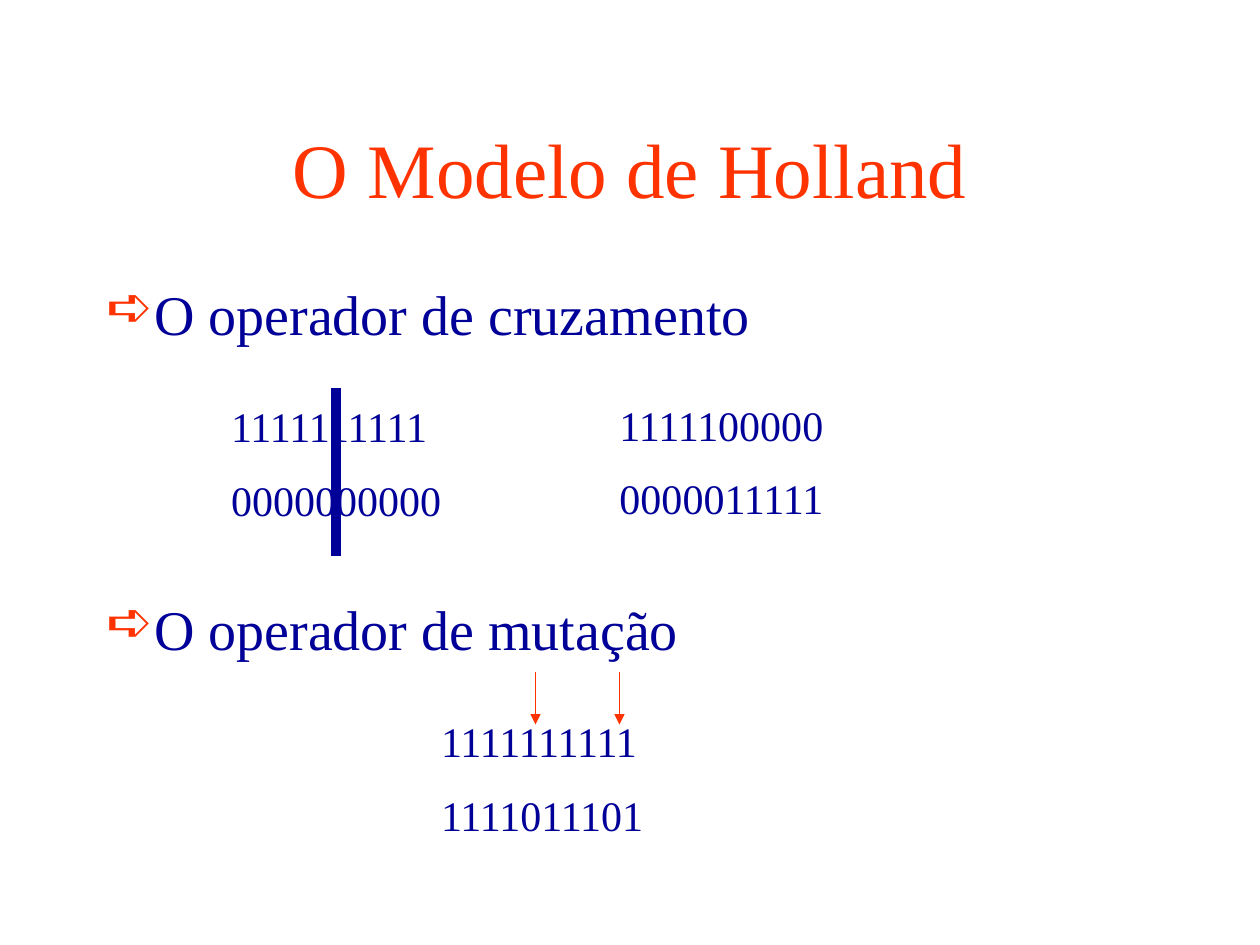
from lxml import etree
from pptx import Presentation
from pptx.dml.color import RGBColor
from pptx.enum import shapes, text
from pptx.oxml.ns import qn
from pptx.util import Pt

COLORS = {"accent": "FF3300", "ink": "000099"}
FONT = "Times New Roman"

TITLE = "O Modelo de Holland"
OPERATORS = ["O operador de cruzamento", "O operador de mutação"]
OPERATOR_GAP = 142
BULLET_INDENT = 27

# left, top, the two strings of the pair
PAIRS = [
    (132, 229, ("1111111111", "0000000000")),
    (354, 228, ("1111100000", "0000011111")),
    (252, 409, ("1111111111", "1111011101")),
]
PAIR_STEP = 42

CUT_LINE = (192, 222, 318)
MUTATION_X = (306, 354)
MUTATION_Y = (384, 414)


def color(name):
    return RGBColor.from_string(COLORS[name])


def add_text(slide, box, lines, size, color_name, anchor, inset=(7.2, 3.6)):
    """Add a text box with one paragraph a line; return its paragraphs."""
    frame = slide.shapes.add_textbox(*map(Pt, box)).text_frame
    frame.word_wrap = True
    frame.vertical_anchor = anchor
    frame.margin_left = frame.margin_right = Pt(inset[0])
    frame.margin_top = frame.margin_bottom = Pt(inset[1])
    frame.text = "\n".join(lines)
    for paragraph in frame.paragraphs:
        paragraph.font.name = FONT
        paragraph.font.size = Pt(size)
        paragraph.font.color.rgb = color(color_name)
    return frame.paragraphs


def add_bullet(paragraph):
    properties = paragraph._p.get_or_add_pPr()
    properties.set("marL", str(Pt(BULLET_INDENT)))
    properties.set("indent", str(-Pt(BULLET_INDENT)))
    bullet_color = etree.Element(qn("a:buClr"))
    etree.SubElement(bullet_color, qn("a:srgbClr"), val=COLORS["accent"])
    bullet = etree.Element(qn("a:buChar"), char="➪")
    default_run = properties.find(qn("a:defRPr"))
    default_run.addprevious(bullet_color)
    default_run.addprevious(bullet)


def add_vertical_line(slide, x, top, bottom, color_name, width, arrow=False):
    line = slide.shapes.add_connector(
        shapes.MSO_CONNECTOR.STRAIGHT, Pt(x), Pt(top), Pt(x), Pt(bottom))
    line.line.color.rgb = color(color_name)
    line.line.width = Pt(width)
    if arrow:
        etree.SubElement(line.line._get_or_add_ln(), qn("a:tailEnd"), type="triangle")
    etree.SubElement(line._element.spPr, qn("a:effectLst"))


def main():
    presentation = Presentation()
    presentation.slide_width, presentation.slide_height = Pt(720), Pt(540)
    slide = presentation.slides.add_slide(presentation.slide_layouts[6])

    add_vertical_line(slide, *CUT_LINE, "ink", 6)

    title, = add_text(slide, (54, 36, 612, 90), [TITLE], 44, "accent",
                      text.MSO_ANCHOR.BOTTOM)
    title.alignment = text.PP_ALIGN.CENTER

    operators = add_text(slide, (54, 156, 612, 324), OPERATORS, 32, "ink",
                         text.MSO_ANCHOR.TOP)
    for paragraph in operators:
        add_bullet(paragraph)
    operators[1].space_before = Pt(OPERATOR_GAP)

    for left, top, strings in PAIRS:
        for row, string in enumerate(strings):
            add_text(slide, (left, top + row * PAIR_STEP, 126, 29), [string], 24,
                     "ink", text.MSO_ANCHOR.MIDDLE, inset=(0, 0))

    for x in MUTATION_X:
        add_vertical_line(slide, x, *MUTATION_Y, "accent", 1, arrow=True)

    presentation.save("out.pptx")


if __name__ == "__main__":
    main()
